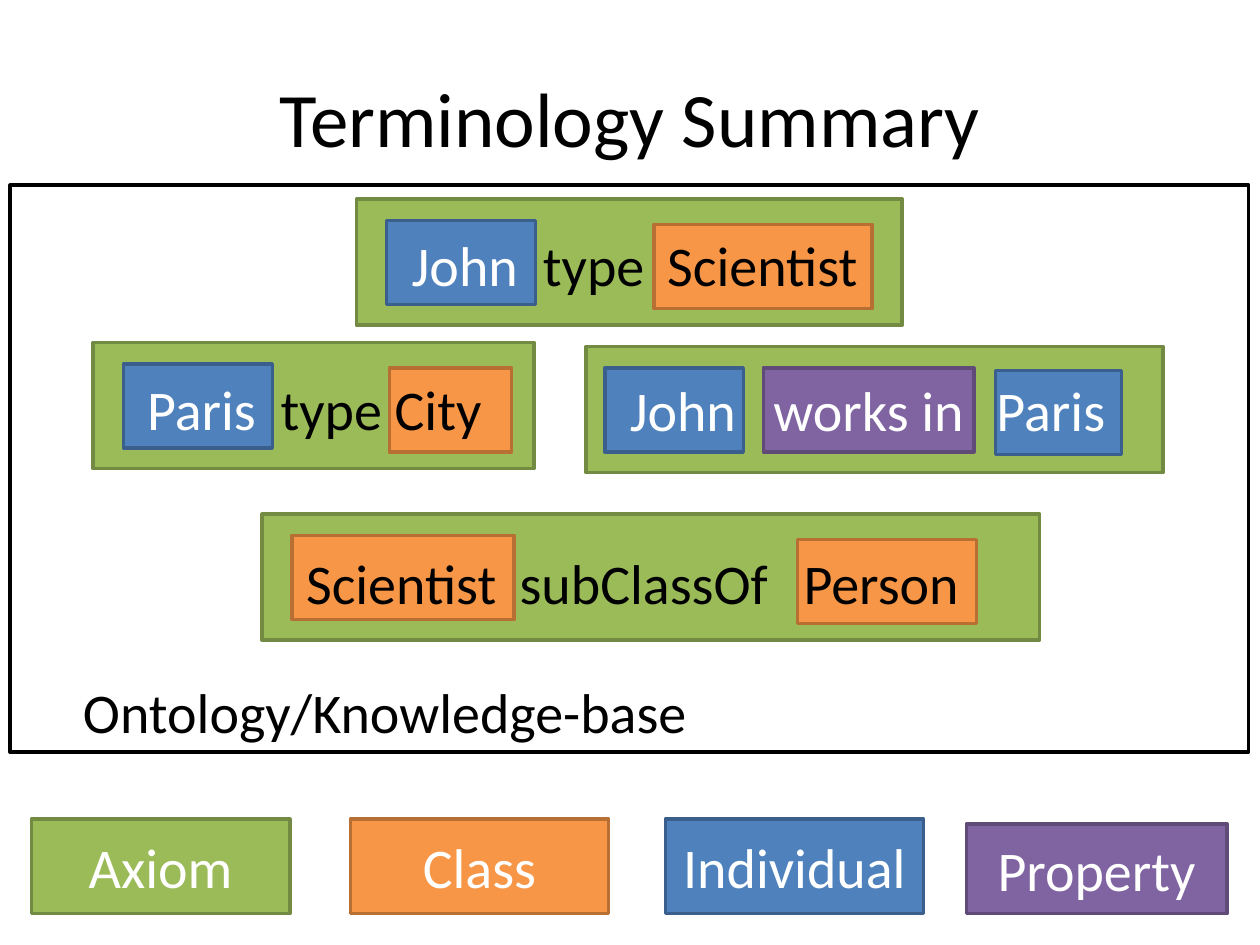
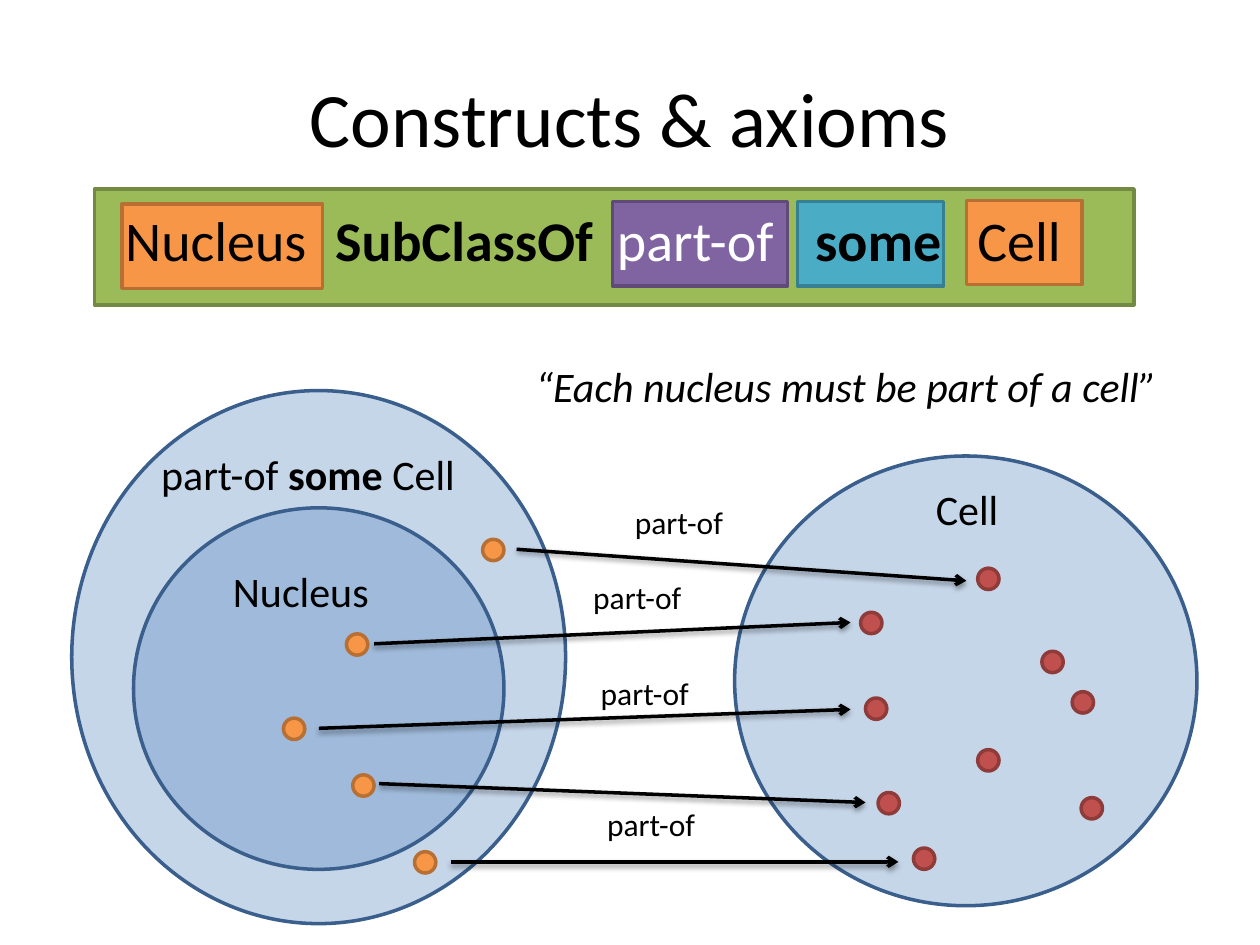
from lxml import etree
from pptx import Presentation
from pptx.dml.color import RGBColor
from pptx.enum.shapes import MSO_CONNECTOR, MSO_SHAPE
from pptx.enum.text import MSO_ANCHOR, PP_ALIGN
from pptx.oxml import parse_xml
from pptx.oxml.ns import nsdecls, qn
from pptx.util import Pt

RECT, OVAL = MSO_SHAPE.RECTANGLE, MSO_SHAPE.OVAL
STRAIGHT = MSO_CONNECTOR.STRAIGHT
LEFT, CENTER = PP_ALIGN.LEFT, PP_ALIGN.CENTER
MIDDLE = MSO_ANCHOR.MIDDLE

FONT = "Calibri"
LINE_WIDTH = 2
DOT = 12.2
BLACK, WHITE = "000000", "FFFFFF"
FILLS = {
    "frame": WHITE,
    "axiom": "9BBB59",
    "class": "F79646",
    "individual": "4F81BD",
    "property": "8064A2",
    "construct": "4BACC6",
    "cell": "C0504D",
}
EDGES = {
    "frame": BLACK,
    "axiom": "738A42",
    "class": "B76F34",
    "individual": "3A5F8C",
    "property": "5F4A78",
    "construct": "377F92",
    "cell": "8E3B39",
}


def draw(page, kind, role, area):
    """Add a shape in the colours of its role; area is left, top, width, height."""
    shape = page.shapes.add_shape(kind, *map(Pt, area))
    shape.shadow.inherit = False
    shape.fill.solid()
    shape.fill.fore_color.rgb = RGBColor.from_string(FILLS[role])
    shape.line.color.rgb = RGBColor.from_string(EDGES[role])
    shape.line.width = Pt(LINE_WIDTH)
    return shape


def write(box, size, spans, align=LEFT, tabs=()):
    """Fill a box with spans of (text, colour, style); style may hold b and i."""
    frame = box.text_frame
    frame.word_wrap = True
    para = frame.paragraphs[0]
    para.alignment = align
    for text, colour, style in spans:
        span = para.add_run()
        span.text = text
        span.font.name = FONT
        span.font.size = Pt(size)
        span.font.bold = "b" in style
        span.font.italic = "i" in style
        span.font.color.rgb = RGBColor.from_string(colour)
    if tabs:
        tab_list = etree.SubElement(para._p.get_or_add_pPr(), qn("a:tabLst"))
        for stop in tabs:
            etree.SubElement(tab_list, qn("a:tab"), pos=str(Pt(stop)), algn="l")


deck = Presentation()
deck.slide_width, deck.slide_height = Pt(720), Pt(540)

pages = []
for heading in ("Terminology Summary", "Constructs & axioms"):
    page = deck.slides.add_slide(deck.slide_layouts[5])
    title = page.shapes.title
    title.left, title.top, title.width, title.height = map(Pt, (36, 21.6, 648, 90))
    title.text_frame.vertical_anchor = MIDDLE
    write(title, 44, [(heading, BLACK, "")], CENTER)
    pages.append(page)
summary, constructs = pages

# Terminology summary: axioms inside the knowledge base
draw(summary, RECT, "frame", (5.8, 105.8, 707.8, 324))

# axiom area, word tiles, text area, spans, tab stops
axioms = [
    ((203.8, 113.8, 311.8, 72),
     [("individual", (221, 126, 85, 48.2)), ("class", (373.7, 128.2, 124.6, 48.2))],
     (228.2, 128.2, 300.2, 46),
     [("John", WHITE, ""), ("\ttype\tScientist", BLACK, "")], (75, 146)),
    ((53.3, 195.8, 252, 72),
     [("individual", (70.6, 208, 85, 48.2)), ("class", (222.5, 210.2, 69.8, 48.2))],
     (77, 210.2, 215.3, 46),
     [("Paris", WHITE, ""), ("\ttype City", BLACK, "")], (76.3,)),
    ((334.8, 198, 329.8, 72),
     [("individual", (345.6, 210.2, 79.2, 48.2)),
      ("property", (436.3, 210.2, 120.2, 48.2)),
      ("individual", (568.8, 211.7, 72, 48.2))],
     (352.8, 211, 300.2, 46),
     [("John\tworks in\tParis", WHITE, "")], (82, 209.5)),
    ((149.8, 293.8, 444.2, 72),
     [("class", (167, 306, 126.7, 48.2)), ("class", (455.8, 308.2, 102.2, 48.2))],
     (167.8, 309.6, 418.3, 46),
     [("Scientist\tsubClassOf\tPerson", BLACK, "")], (122, 284.3)),
]
for axiom_area, tiles, text_area, spans, tabs in axioms:
    draw(summary, RECT, "axiom", axiom_area)
    for role, tile_area in tiles:
        draw(summary, RECT, role, tile_area)
    write(summary.shapes.add_textbox(*map(Pt, text_area)), 32, spans, tabs=tabs)

caption = summary.shapes.add_textbox(Pt(40.3), Pt(383.8), Pt(481), Pt(46))
write(caption, 32, [("Ontology/Knowledge-base", BLACK, "")])

legend = [
    ("axiom", (18, 468, 147.6, 54)),
    ("class", (200.2, 468, 147.6, 54)),
    ("individual", (380.2, 468, 147.6, 54)),
    ("property", (552.2, 470.9, 149, 51.1)),
]
for role, area in legend:
    key = draw(summary, RECT, role, area)
    key.text_frame.vertical_anchor = MIDDLE
    write(key, 32, [(role.capitalize(), WHITE, "")], CENTER)

# Constructs: the axiom and its sets
axiom_parts = [
    ("axiom", (54, 108, 594, 66.2)),
    ("class", (69.8, 116.6, 114.5, 48.2)),
    ("property", (349.9, 115.2, 100.1, 48.2)),
    ("construct", (455.8, 115.2, 83.5, 48.2)),
    ("class", (552.2, 114.5, 66.2, 48.2)),
]
for role, area in axiom_parts:
    draw(constructs, RECT, role, area)

axiom_text = constructs.shapes.add_textbox(Pt(67), Pt(113.8), Pt(563), Pt(51.8))
axiom_text.text_frame.margin_left = Pt(4.5)
write(axiom_text, 32, [
    ("Nucleus", BLACK, ""),
    ("\tSubClassOf", BLACK, "b"),
    ("\tpart-of", WHITE, ""),
    ("\tsome", BLACK, "b"),
    ("\tCell", BLACK, ""),
], tabs=(120, 281, 394.3, 487))

set_areas = [
    (41, 223.2, 282.2, 304.6),
    (76.3, 290.2, 211.7, 206.6),
    (419.8, 260.6, 264.2, 257),
]
for area in set_areas:
    ellipse = draw(constructs, OVAL, "individual", area)
    colour = ellipse.fill._xPr.find(qn("a:solidFill"))[0]
    etree.SubElement(colour, qn("a:alpha"), val="32000")

members = {
    "class": [(198, 362.2), (162, 410.4), (201.6, 442.8), (275.8, 308.2),
              (236.9, 486.7)],
    "cell": [(501.8, 452.9), (558.7, 324.7), (617.8, 455.8), (491.8, 349.9),
             (522, 484.6), (494.6, 398.9), (612.7, 395.3), (558.7, 428.4),
             (595.4, 372.2)],
}
for role, corners in members.items():
    for left, top in corners:
        draw(constructs, OVAL, role, (left, top, DOT, DOT))

part_of_links = [
    (295.2, 313.9, 552.2, 331.9),
    (213.8, 367.9, 486, 355.7),
    (182.2, 416.2, 486, 405.4),
    (216.7, 447.8, 494.6, 458.6),
    (257.8, 492.5, 513.4, 492.5),
]
for ends in part_of_links:
    arrow = constructs.shapes.add_connector(STRAIGHT, *map(Pt, ends))
    arrow.line.color.rgb = RGBColor.from_string(BLACK)
    arrow.line.width = Pt(LINE_WIDTH)
    properties = arrow._element.spPr
    etree.SubElement(properties.find(qn("a:ln")), qn("a:tailEnd"), type="arrow")
    properties.append(parse_xml(
        f'<a:effectLst {nsdecls("a")}>'
        f'<a:outerShdw blurRad="{Pt(3.1)}" dist="{Pt(1.6)}" dir="5400000" rotWithShape="0">'
        f'<a:srgbClr val="{BLACK}"><a:alpha val="38000"/></a:srgbClr>'
        '</a:outerShdw></a:effectLst>'))

labels = [
    ((486.7, 272.9, 131.8, 36), 24, [("Cell", BLACK, "")], CENTER),
    ((85, 252.7, 190.8, 36), 24,
     [("part-of ", BLACK, ""), ("some", BLACK, "b"), (" Cell", BLACK, "")], LEFT),
    ((126, 319.7, 117.4, 36), 24, [("Nucleus", BLACK, "")], LEFT),
    ((288, 202.3, 391, 36), 24,
     [("“Each nucleus must be part of a cell”", BLACK, "i")], CENTER),
]
for left, top in [(355.7, 283.7), (331.9, 326.9), (336.2, 381.6), (339.8, 456.5)]:
    labels.append(((left, top, 68.4, 28.8), 18, [("part-of", BLACK, "")], LEFT))
for area, size, spans, align in labels:
    write(constructs.shapes.add_textbox(*map(Pt, area)), size, spans, align)

deck.save("out.pptx")
